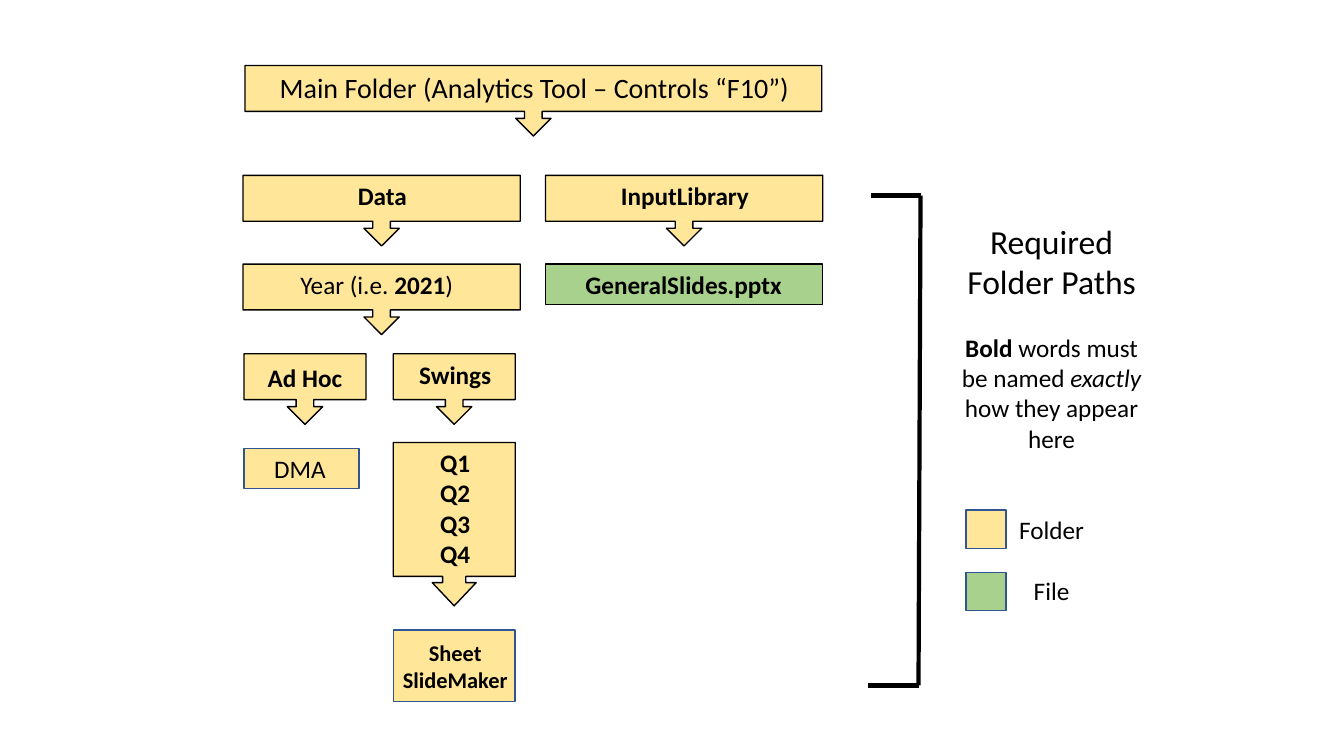
"""Build the slide that shows the required folder paths of an analytics tool."""
import pptx
import pptx.dml.color
import pptx.enum.shapes
import pptx.enum.text
import pptx.oxml
import pptx.util

Inches = pptx.util.Inches
Pt = pptx.util.Pt
RGBColor = pptx.dml.color.RGBColor
Shape = pptx.enum.shapes.MSO_SHAPE
Align = pptx.enum.text.PP_ALIGN

THEME = {
    "font": "Calibri",
    "ink": RGBColor.from_string("000000"),
    "folder": RGBColor.from_string("FFE699"),
    "file": RGBColor.from_string("A9D18E"),
    "outline": RGBColor.from_string("325491"),
    "heading": 24,
    "title": 20,
    "body": 18,
    "small": 16,
}

presentation = pptx.Presentation()
presentation.slide_width = Inches(13.33)
presentation.slide_height = Inches(7.5)
slide = presentation.slides.add_slide(presentation.slide_layouts[6])


def add_box(kind, left, top, width, height, fill, line):
    shape = slide.shapes.add_shape(
        kind, Inches(left), Inches(top), Inches(width), Inches(height))
    shape.shadow.inherit = False
    shape.fill.solid()
    shape.fill.fore_color.rgb = THEME[fill]
    shape.line.color.rgb = THEME[line]
    shape.line.width = Pt(1)
    return shape


def add_text(left, top, width, height, align, paragraphs):
    box = slide.shapes.add_textbox(
        Inches(left), Inches(top), Inches(width), Inches(height))
    frame = box.text_frame
    frame.word_wrap = True
    frame.auto_size = pptx.enum.text.MSO_AUTO_SIZE.SHAPE_TO_FIT_TEXT
    for index, (size, space_before, runs) in enumerate(paragraphs):
        paragraph = frame.paragraphs[0] if index == 0 else frame.add_paragraph()
        paragraph.alignment = align
        paragraph.space_before = Pt(space_before)
        for text, style in runs:
            run = paragraph.add_run()
            run.text = text
            run.font.name = THEME["font"]
            run.font.size = Pt(THEME[size])
            run.font.color.rgb = THEME["ink"]
            run.font.bold = style == "bold"
            run.font.italic = style == "italic"


folder_callouts = [
    (2.43, 0.65, 5.72),
    (2.41, 1.74, 2.75),
    (5.41, 1.74, 2.75),
    (2.41, 2.62, 2.75),
    (2.42, 3.51, 1.21),
    (3.9, 3.51, 1.21),
]
for left, top, width in folder_callouts:
    add_box(Shape.DOWN_ARROW_CALLOUT, left, top, width, 0.7, "folder", "ink")

quarters = add_box(Shape.DOWN_ARROW_CALLOUT, 3.9, 4.39, 1.21, 1.62, "folder", "ink")
for index, value in enumerate((0.19, 0.18, 0.19, 0.82)):
    quarters.adjustments[index] = value

rectangles = [
    (5.41, 2.62, 2.75, 0.4, "file", "ink"),
    (2.42, 4.45, 1.14, 0.4, "folder", "outline"),
    (3.9, 6.25, 1.21, 0.71, "folder", "outline"),
    (9.58, 5.06, 0.4, 0.38, "folder", "outline"),
    (9.58, 5.68, 0.4, 0.38, "file", "outline"),
]
for rectangle in rectangles:
    add_box(Shape.RECTANGLE, *rectangle)

labels = [
    (2.53, 0.65, 5.54, 0.44, Align.CENTER, "title", "",
     ["Main Folder (Analytics Tool – Controls “F10”)"]),
    (3.45, 1.74, 0.69, 0.4, Align.LEFT, "body", "bold", ["Data"]),
    (6.06, 1.74, 1.5, 0.4, Align.LEFT, "body", "bold", ["InputLibrary"]),
    (5.67, 2.62, 2.22, 0.4, Align.CENTER, "body", "bold", ["GeneralSlides.pptx"]),
    (2.49, 3.54, 1.07, 0.71, Align.CENTER, "body", "bold", ["Ad Hoc"]),
    (3.98, 3.52, 1.07, 0.71, Align.CENTER, "body", "bold", ["Swings"]),
    (3.98, 4.39, 1.07, 1.62, Align.CENTER, "body", "bold", ["Q1", "Q2", "Q3", "Q4"]),
    (2.62, 4.45, 0.81, 0.4, Align.LEFT, "body", "", ["DMA"]),
    (3.82, 6.29, 1.39, 0.64, Align.CENTER, "small", "bold", ["Sheet", "SlideMaker"]),
]
for left, top, width, height, align, size, style, lines in labels:
    add_text(left, top, width, height, align,
             [(size, 0, [(line, style)]) for line in lines])

add_text(2.88, 2.62, 1.81, 0.4, Align.LEFT, [
    ("body", 0, [("Year (i.e. ", ""), ("2021", "bold"), (")", "")]),
])
add_text(9.38, 2.14, 2.1, 4.24, Align.CENTER, [
    ("heading", 0, [("Required Folder Paths", "")]),
    ("body", 22, [("Bold", "bold"), (" words must be named ", ""),
                  ("exactly", "italic"), (" how they appear here", "")]),
    ("body", 44, [("Folder", "")]),
    ("body", 22, [("File", "")]),
])

bracket_lines = [
    (8.64, 1.94, 9.13, 1.94),
    (8.61, 6.8, 9.11, 6.8),
    (9.13, 1.94, 9.11, 6.8),
]
for ends in bracket_lines:
    connector = slide.shapes.add_connector(
        pptx.enum.shapes.MSO_CONNECTOR.STRAIGHT, *map(Inches, ends))
    connector.line.color.rgb = THEME["ink"]
    connector.line.width = Pt(3)
    connector._element.spPr.append(pptx.oxml.parse_xml(
        '<a:effectLst xmlns:a="http://schemas.openxmlformats.org/drawingml/2006/main"/>'))

presentation.save("out.pptx")
